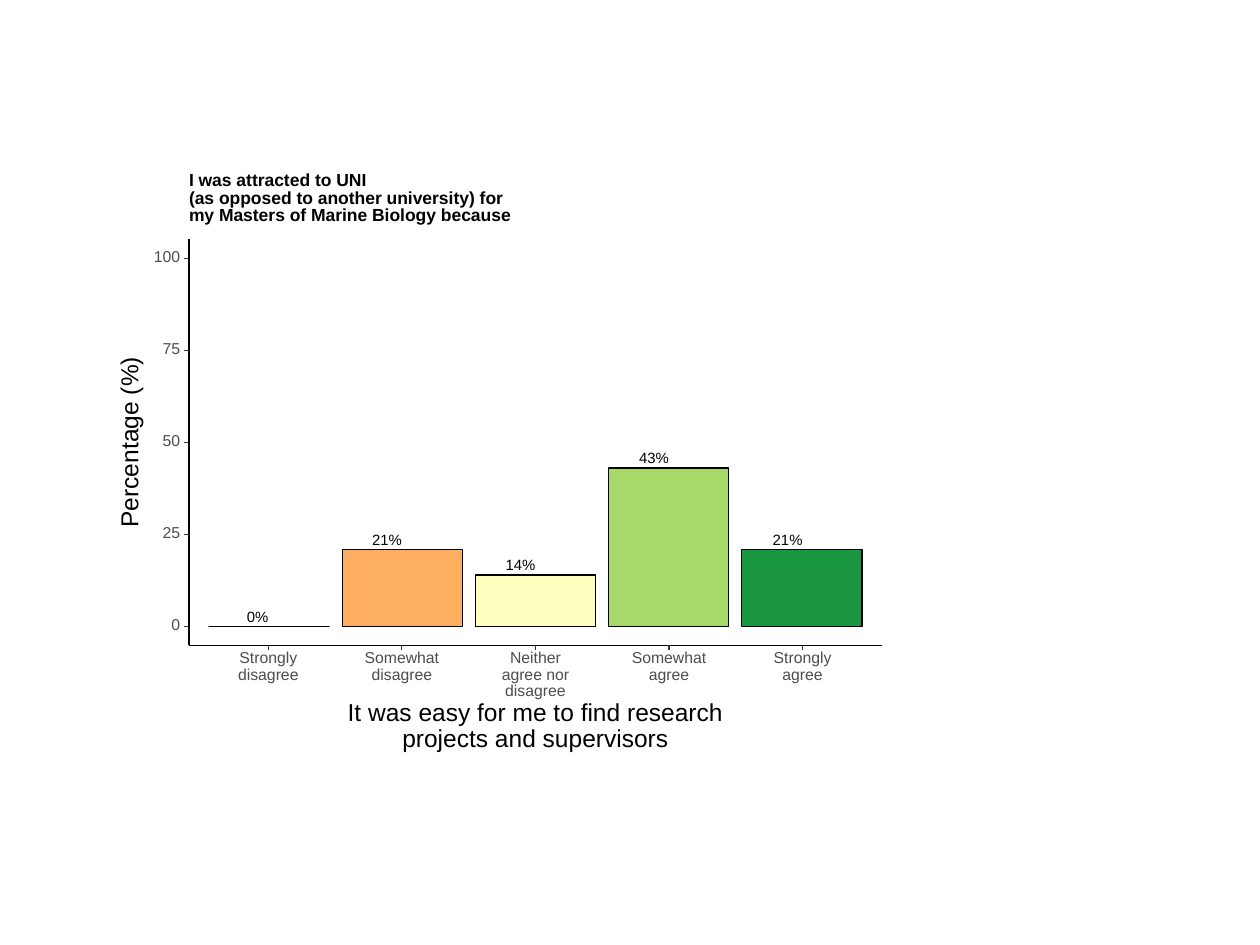
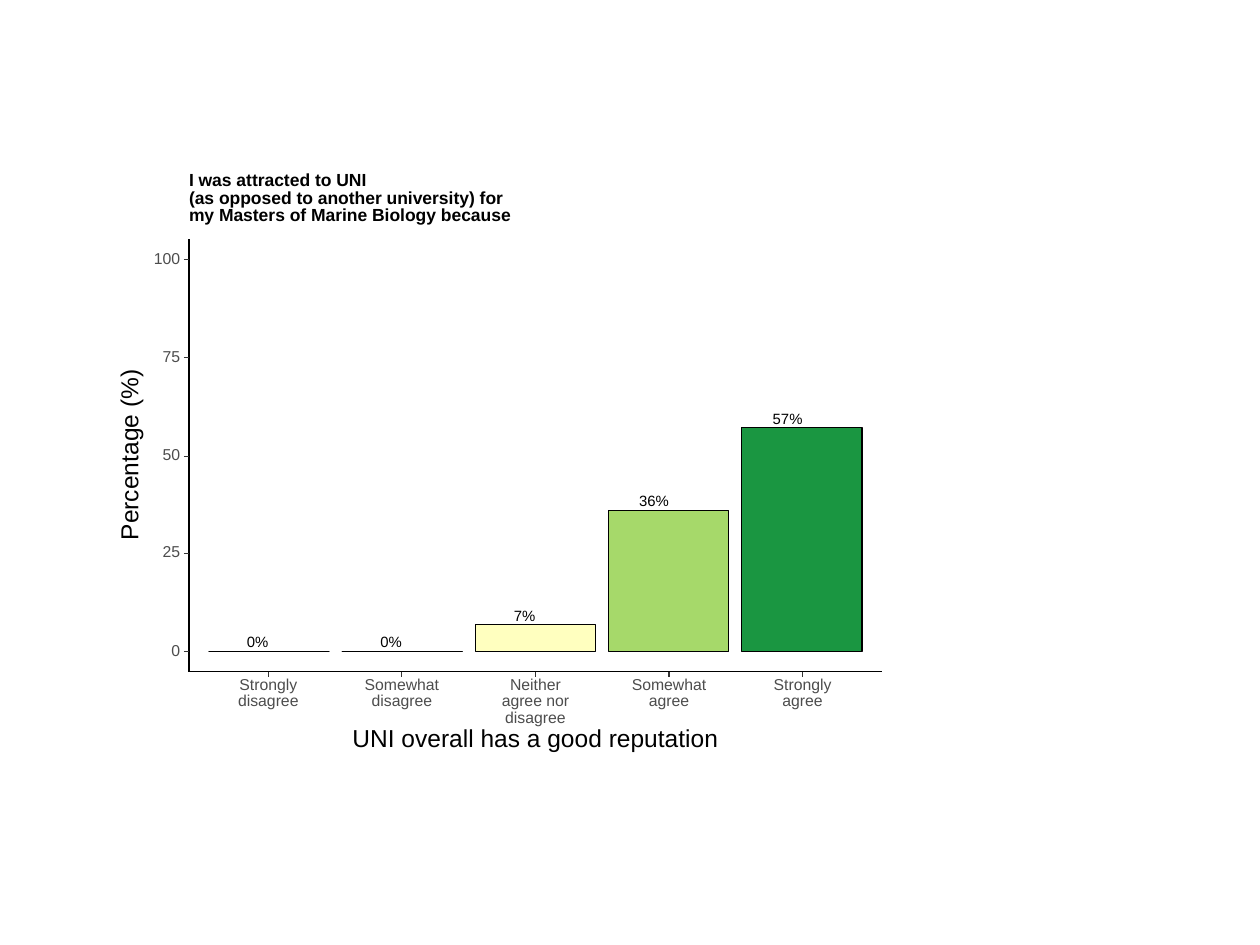
"""Build two survey slides, each with a bar chart of agreement levels."""
from dataclasses import dataclass
from typing import NamedTuple

import lxml.etree
import pptx
import pptx.chart.data
import pptx.dml.color
import pptx.enum.chart
import pptx.enum.text
import pptx.oxml.ns
import pptx.util

EMU_PER_PX = 9144
FONT = "Arial"
BLACK, TICK_GREY, LABEL_GREY = "000000", "333333", "4D4D4D"
THIN = pptx.util.Pt(0.64)
PANEL_LEFT, PANEL_TOP, PANEL_WIDTH = 150, 190, 550
TICK_LENGTH = 4
AXIS_LOW, AXIS_SPAN = -5, 110
SIDE_PAD = 0.1
PERCENT_TICKS = range(0, 101, 25)
HEADING = ("I was attracted to UNI\n(as opposed to another university) for\n"
           "my Masters of Marine Biology because")
Align = pptx.enum.text.PP_ALIGN
Anchor = pptx.enum.text.MSO_ANCHOR


class Box(NamedTuple):
    """Position and size in px."""
    left: int
    top: int
    width: int
    height: int


class Level(NamedTuple):
    """One answer level with its bar colour."""
    label: str
    color: str


@dataclass(frozen=True)
class Question:
    """One survey question with its results and panel height."""
    reason: str
    percentages: tuple[int, ...]
    panel_height: int

    @property
    def panel(self) -> Box:
        """Return the area that the axes enclose."""
        return Box(PANEL_LEFT, PANEL_TOP, PANEL_WIDTH, self.panel_height)

    @property
    def bottom(self) -> int:
        """Return the height of the category axis."""
        return PANEL_TOP + self.panel_height

    def percent_y(self, percent: int) -> int:
        """Return the vertical place of a percentage."""
        return round(self.bottom - (percent - AXIS_LOW) / AXIS_SPAN * self.panel_height)


LEVELS = (
    Level("Strongly\ndisagree", "D7191C"),
    Level("Somewhat\ndisagree", "FDAE61"),
    Level("Neither\nagree nor\ndisagree", "FFFFBF"),
    Level("Somewhat\nagree", "A6D96A"),
    Level("Strongly\nagree", "1A9641"),
)
QUESTIONS = (
    Question("It was easy for me to find research\nprojects and supervisors",
             (0, 21, 14, 43, 21), 322),
    Question("UNI overall has a good reputation", (0, 0, 7, 36, 57), 343),
)
SLOTS = len(LEVELS) + 2 * SIDE_PAD


def px(length: int) -> pptx.util.Emu:
    """Turn px into EMU."""
    return pptx.util.Emu(length * EMU_PER_PX)


def rgb(color: str) -> pptx.dml.color.RGBColor:
    """Turn a hex string into a colour."""
    return pptx.dml.color.RGBColor.from_string(color)


def level_x(index: int) -> int:
    """Return the horizontal centre of an answer level."""
    return round(PANEL_LEFT + PANEL_WIDTH * (SIDE_PAD + 0.5 + index) / SLOTS)


def write_text(slide, text: str, box: Box, *, size: float, spacing: float = 0,
               color: str = BLACK, bold: bool = False, align=Align.CENTER,
               anchor=Anchor.MIDDLE, rotation: int = 0, holder=None) -> None:
    """Write formatted text into a placeholder or a new text box."""
    holder = holder or slide.shapes.add_textbox(0, 0, 0, 0)
    holder.left, holder.top, holder.width, holder.height = map(px, box)
    holder.rotation = rotation
    frame = holder.text_frame
    frame.text = text
    frame.word_wrap = True
    frame.auto_size = pptx.enum.text.MSO_AUTO_SIZE.NONE
    frame.vertical_anchor = anchor
    frame.margin_left = frame.margin_right = frame.margin_top = frame.margin_bottom = 0
    for paragraph in frame.paragraphs:
        paragraph.alignment = align
        paragraph.line_spacing = pptx.util.Pt(spacing or size)
        paragraph.space_before = paragraph.space_after = pptx.util.Pt(0)
        for run in paragraph.runs:
            run.font.name, run.font.size = FONT, pptx.util.Pt(size)
            run.font.bold, run.font.color.rgb = bold, rgb(color)


def draw_line(slide, start: tuple[int, int], end: tuple[int, int],
              color: str = BLACK) -> None:
    """Draw a thin straight line without a shadow."""
    line = slide.shapes.add_connector(
        pptx.enum.shapes.MSO_CONNECTOR.STRAIGHT, *map(px, start + end))
    line.line.color.rgb = rgb(color)
    line.line.width = THIN
    lxml.etree.SubElement(line._element.spPr, pptx.oxml.ns.qn("a:effectLst"))


def fit_plot(chart) -> None:
    """Place the bars so that 0 to 100 percent sits inside the panel padding."""
    qn = pptx.oxml.ns.qn
    plot_area = chart._chartSpace.chart.plotArea
    for automatic in plot_area.findall(qn("c:layout")):
        plot_area.remove(automatic)
    layout = lxml.etree.Element(qn("c:layout"))
    plot_area.insert(0, layout)
    manual = lxml.etree.SubElement(layout, qn("c:manualLayout"))
    settings = {
        "layoutTarget": "inner", "xMode": "edge", "yMode": "edge",
        "x": SIDE_PAD / SLOTS, "y": -AXIS_LOW / AXIS_SPAN,
        "w": len(LEVELS) / SLOTS, "h": 100 / AXIS_SPAN,
    }
    for tag, value in settings.items():
        lxml.etree.SubElement(manual, qn(f"c:{tag}")).set("val", str(value))


def draw_bars(slide, question: Question) -> None:
    """Draw the results as a column chart with bare axes."""
    results = pptx.chart.data.CategoryChartData()
    results.categories = [level.label.replace("\n", " ") for level in LEVELS]
    results.add_series("Percentage (%)", question.percentages)
    chart = slide.shapes.add_chart(
        pptx.enum.chart.XL_CHART_TYPE.COLUMN_CLUSTERED,
        *map(px, question.panel), results).chart
    chart.has_legend = chart.has_title = False
    chart.font.name, chart.font.size = FONT, pptx.util.Pt(9)
    chart.font.color.rgb = rgb(LABEL_GREY)
    chart.value_axis.minimum_scale, chart.value_axis.maximum_scale = 0, 100
    chart.value_axis.major_unit = PERCENT_TICKS.step
    for axis in (chart.value_axis, chart.category_axis):
        axis.has_major_gridlines = False
        axis.major_tick_mark = pptx.enum.chart.XL_TICK_MARK.NONE
        axis.tick_label_position = pptx.enum.chart.XL_TICK_LABEL_POSITION.NONE
        axis.format.line.fill.background()
    plot = chart.plots[0]
    plot.gap_width = 11
    plot.vary_by_categories = False
    for index, level in enumerate(LEVELS):
        bar = plot.series[0].points[index].format
        bar.fill.solid()
        bar.fill.fore_color.rgb = rgb(level.color)
        bar.line.color.rgb = rgb(BLACK)
        bar.line.width = THIN
    fit_plot(chart)


def draw_percent_axis(slide, question: Question) -> None:
    """Draw the vertical axis with its ticks, labels and title."""
    draw_line(slide, (PANEL_LEFT, question.bottom), (PANEL_LEFT, PANEL_TOP))
    for percent in PERCENT_TICKS:
        y = question.percent_y(percent)
        draw_line(slide, (PANEL_LEFT - TICK_LENGTH, y), (PANEL_LEFT, y), TICK_GREY)
        write_text(slide, str(percent), Box(113, y - 5, 30, 10), size=9,
                   color=LABEL_GREY, align=Align.RIGHT)
    middle = PANEL_TOP + question.panel_height // 2
    write_text(slide, "Percentage (%)", Box(29, middle - 9, 150, 18), size=14,
               rotation=270)


def draw_level_axis(slide, question: Question) -> None:
    """Draw the horizontal axis with its ticks, labels, values and title."""
    bottom = question.bottom
    draw_line(slide, (PANEL_LEFT, bottom), (PANEL_LEFT + PANEL_WIDTH, bottom))
    for index, (level, percent) in enumerate(zip(LEVELS, question.percentages)):
        x = level_x(index)
        draw_line(slide, (x, bottom + TICK_LENGTH), (x, bottom), TICK_GREY)
        write_text(slide, level.label, Box(x - 50, bottom + TICK_LENGTH, 100, 40),
                   size=9, spacing=9.5, color=LABEL_GREY, anchor=Anchor.TOP)
        write_text(slide, f"{percent}%",
                   Box(x - 40, question.percent_y(percent) - 11, 40, 9),
                   size=8.5, align=Align.RIGHT)
    write_text(slide, question.reason, Box(PANEL_LEFT, 555, PANEL_WIDTH, 42),
               size=14, spacing=15, anchor=Anchor.BOTTOM)


def add_question(deck, question: Question) -> None:
    """Add one slide for a survey question."""
    slide = deck.slides.add_slide(deck.slide_layouts[5])
    write_text(slide, HEADING, Box(PANEL_LEFT, 137, 400, 42), size=10, bold=True,
               align=Align.LEFT, anchor=Anchor.BOTTOM, holder=slide.shapes.title)
    draw_bars(slide, question)
    draw_percent_axis(slide, question)
    draw_level_axis(slide, question)


def main() -> None:
    """Build and save the deck."""
    deck = pptx.Presentation()
    deck.slide_width, deck.slide_height = px(1000), px(750)
    for question in QUESTIONS:
        add_question(deck, question)
    deck.save("out.pptx")


if __name__ == "__main__":
    import pptx.enum.shapes
    main()
